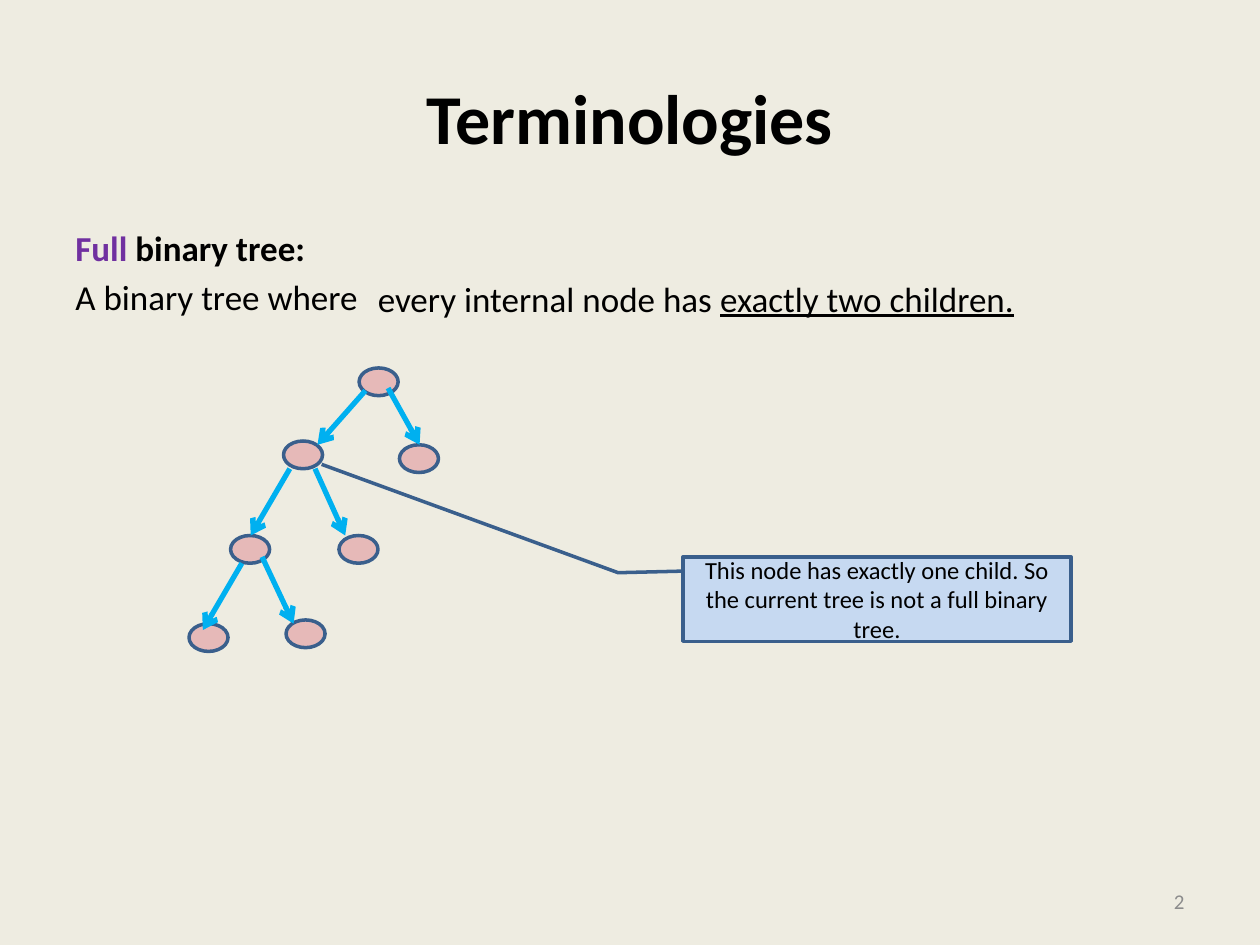
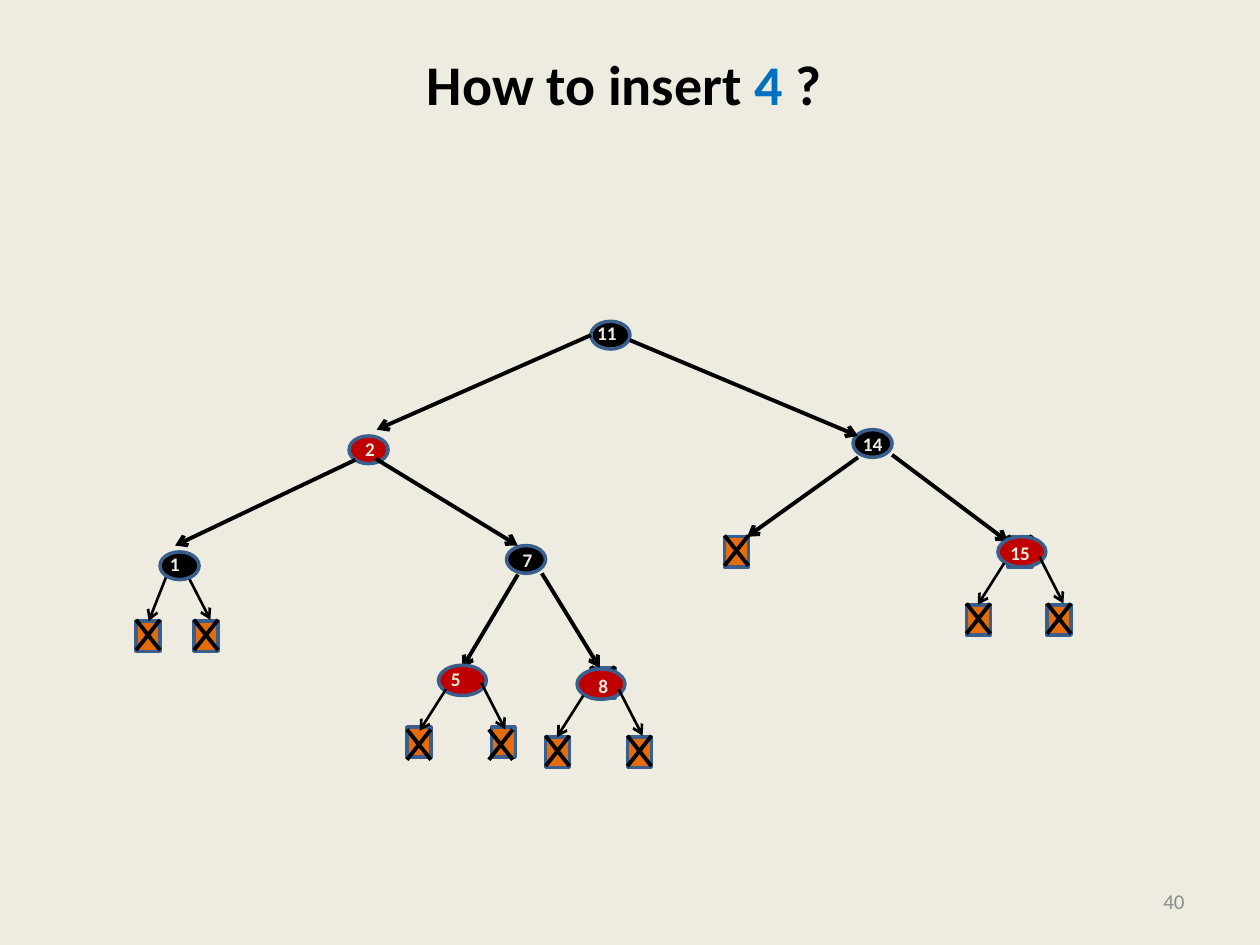
from dataclasses import dataclass

from lxml.etree import SubElement
from pptx import Presentation
from pptx.dml.color import RGBColor
from pptx.enum.shapes import MSO_CONNECTOR, MSO_SHAPE
from pptx.enum.text import MSO_ANCHOR, PP_ALIGN
from pptx.oxml.ns import qn
from pptx.util import Inches, Pt


@dataclass(frozen=True)
class Theme:
    font: str = "Calibri"
    background: str = "EEECE1"
    ink: str = "000000"
    outline: str = "3A5F8C"
    purple: str = "7030A0"
    blue: str = "0070C0"
    cyan: str = "00B0F0"
    pink: str = "E6B9B8"
    pale_blue: str = "C6D9F1"
    red: str = "C00000"
    orange: str = "E46C0A"
    grey: str = "8C8C8C"
    title: int = 40
    question: int = 32
    body: int = 20
    note: int = 14
    number: int = 12
    label: int = 11
    outline_width: float = 2
    branch_width: float = 2.25
    twig_width: float = 1.5
    link_width: float = 3


THEME = Theme()
NODE_SIZE = (0.31, 0.22)
RED_SIZE = (0.38, 0.24)
LEAF_SIZE = (0.19, 0.24)

# Each run is (text, colour, bold, underlined).
TERMS_TITLE = [[("Terminologies", THEME.ink, True, False)]]
DEFINITION = [
    [("Full ", THEME.purple, True, False), ("binary tree:", THEME.ink, True, False)],
    [("A binary tree where", THEME.ink, False, False)],
]
CONDITION = [[
    ("every internal node has ", THEME.ink, False, False),
    ("exactly two children.", THEME.ink, False, True),
]]
REMARK = [[(
    "This node has exactly one child. So the current tree is not a full binary tree.",
    THEME.ink, False, False,
)]]
CALLOUT_BENDS = (0.169, -0.001, 0.188, -0.167, -1.096, -0.931)
FULL_TREE_NODES = [
    (2.85, 2.92), (2.25, 3.5), (3.17, 3.53), (1.83, 4.25),
    (2.69, 4.25), (1.5, 4.95), (2.27, 4.92),
]
# Each arrow is (start x, start y, end x, end y).
FULL_TREE_LINKS = [
    (2.9, 3.1, 2.52, 3.53), (3.08, 3.08, 3.33, 3.53),
    (2.3, 3.72, 1.99, 4.25), (2.5, 3.72, 2.74, 4.25),
    (1.92, 4.47, 1.61, 5), (2.08, 4.42, 2.33, 4.95),
]

INSERT_TITLE = [[
    ("How to insert ", THEME.ink, True, False),
    ("4 ", THEME.blue, True, False),
    ("?", THEME.ink, True, False),
]]
# Key: node position, colour, label box.
UPPER_NODES = {
    "11": ((4.69, 2.55), THEME.ink, (4.64, 2.5, 0.36, 0.29)),
    "14": ((6.77, 3.41), THEME.ink, (6.75, 3.38, 0.36, 0.29)),
    "2": ((2.77, 3.46), THEME.red, (2.8, 3.42, 0.28, 0.29)),
    "1": ((1.27, 4.38), THEME.ink, (1.25, 4.33, 0.28, 0.29)),
    "7": ((4.02, 4.33), THEME.ink, (4.05, 4.3, 0.28, 0.29)),
}
BRANCHES = [
    (4.69, 2.66, 2.99, 3.41), (5, 2.7, 6.81, 3.46),
    (2.82, 3.65, 1.39, 4.33), (2.98, 3.64, 4.11, 4.33),
    (6.81, 3.63, 5.93, 4.26), (7.08, 3.61, 8, 4.3),
    (4.11, 4.56, 3.67, 5.3), (4.3, 4.55, 4.76, 5.3),
]
# Each leaf is (x, y) with an optional shift of its cross.
REPLACED_LEAVES = [(4.69, 5.3), (8, 4.26)]
UPPER_LEAVES = [(1.08, 4.93), (1.54, 4.93), (5.75, 4.26)]
UPPER_TWIGS = [(1.33, 4.55, 1.18, 4.93), (1.48, 4.55, 1.67, 4.92)]
# Key: node position, label box, twig origin, leaves.
RED_NODES = {
    "15": ((7.92, 4.26), (7.92, 4.25, 0.43, 0.29), (7.92, 4.26),
           [(7.67, 4.8), (8.31, 4.8)]),
    "8": ((4.58, 5.31), (4.65, 5.3, 0.43, 0.29), (4.58, 5.31),
          [(4.33, 5.85), (4.98, 5.85)]),
    "5": ((3.48, 5.28), (3.48, 5.25, 0.43, 0.29), (3.49, 5.26),
          [(3.23, 5.77, 0, 0.02), (3.9, 5.77, -0.02, 0.02)]),
}
RED_TWIGS = [(0.05, 0.21, -0.16, 0.54), (0.33, 0.16, 0.52, 0.53)]


def rgb(colour):
    return RGBColor.from_string(colour)


def write(frame, paragraphs, size, align=PP_ALIGN.LEFT, anchor=MSO_ANCHOR.TOP):
    frame.word_wrap = True
    frame.vertical_anchor = anchor
    for index, runs in enumerate(paragraphs):
        paragraph = frame.add_paragraph() if index else frame.paragraphs[0]
        paragraph.alignment = align
        if index:
            paragraph.space_before = Pt(0.2 * size)
        for text, colour, bold, underlined in runs:
            run = paragraph.add_run()
            run.text = text
            run.font.name = THEME.font
            run.font.size = Pt(size)
            run.font.bold = bold
            run.font.underline = underlined
            run.font.color.rgb = rgb(colour)


def add_text(slide, box, paragraphs, size, **layout):
    frame = slide.shapes.add_textbox(*map(Inches, box)).text_frame
    write(frame, paragraphs, size, **layout)
    return frame


def add_outlined(slide, preset, box, colour):
    shape = slide.shapes.add_shape(preset, *map(Inches, box))
    shape.shadow.inherit = False
    shape.fill.solid()
    shape.fill.fore_color.rgb = rgb(colour)
    shape.line.color.rgb = rgb(THEME.outline)
    shape.line.width = Pt(THEME.outline_width)
    return shape


def add_line(slide, ends, colour, width, arrow=True):
    line = slide.shapes.add_connector(MSO_CONNECTOR.STRAIGHT, *map(Inches, ends))
    line.line.color.rgb = rgb(colour)
    line.line.width = Pt(width)
    properties = line._element.spPr
    if arrow:
        SubElement(properties.find(qn("a:ln")), qn("a:tailEnd"), type="arrow")
    SubElement(properties, qn("a:effectLst"))


def add_leaf(slide, x, y, cross_dx=0, cross_dy=-0.01):
    """Draw an empty leaf: a box that is crossed out."""
    add_outlined(slide, MSO_SHAPE.RECTANGLE, (x, y, *LEAF_SIZE), THEME.orange)
    left, top = x + cross_dx, y + cross_dy
    right, bottom = left + LEAF_SIZE[0], top + LEAF_SIZE[1]
    for ends in ((right, top, left, bottom), (left, top, right, bottom)):
        add_line(slide, ends, THEME.ink, THEME.branch_width, arrow=False)


def add_key(slide, key, box):
    frame = add_text(slide, box, [[(key, THEME.background, True, False)]], THEME.label)
    frame.margin_right = 0


def start_slide(deck, title, title_box, title_size, number):
    slide = deck.slides.add_slide(deck.slide_layouts[6])
    slide.background.fill.solid()
    slide.background.fill.fore_color.rgb = rgb(THEME.background)
    heading = add_text(slide, title_box, title, title_size,
                       align=PP_ALIGN.CENTER, anchor=MSO_ANCHOR.MIDDLE)
    add_text(slide, (7.17, 6.95, 2.33, 0.4), [[(number, THEME.grey, False, False)]],
             THEME.number, align=PP_ALIGN.RIGHT, anchor=MSO_ANCHOR.MIDDLE)
    return slide, heading


def build_terms(deck):
    slide, _ = start_slide(deck, TERMS_TITLE, (0.5, 0.3, 9, 1.25), THEME.title, "2")
    add_text(slide, (0.5, 1.75, 9, 4.95), DEFINITION, THEME.body)
    for position in FULL_TREE_NODES:
        add_outlined(slide, MSO_SHAPE.OVAL, (*position, *NODE_SIZE), THEME.pink)
    for ends in FULL_TREE_LINKS:
        add_line(slide, ends, THEME.cyan, THEME.link_width)
    add_text(slide, (2.9, 2.15, 5.3, 0.44), CONDITION, THEME.body)
    callout = add_outlined(slide, MSO_SHAPE.LINE_CALLOUT_2, (5.42, 4.42, 3.08, 0.67),
                           THEME.pale_blue)
    for index, bend in enumerate(CALLOUT_BENDS):
        callout.adjustments[index] = bend
    write(callout.text_frame, REMARK, THEME.note,
          align=PP_ALIGN.CENTER, anchor=MSO_ANCHOR.MIDDLE)


def build_insertion(deck):
    slide, heading = start_slide(deck, INSERT_TITLE, (0.08, 0.3, 9.75, 1.25),
                                 THEME.question, "40")
    heading.margin_bottom = Inches(0.58)
    for leaf in UPPER_LEAVES + REPLACED_LEAVES:
        add_leaf(slide, *leaf)
    for ends in UPPER_TWIGS:
        add_line(slide, ends, THEME.ink, THEME.twig_width)
    for position, colour, _ in UPPER_NODES.values():
        add_outlined(slide, MSO_SHAPE.OVAL, (*position, *NODE_SIZE), colour)
    for ends in BRANCHES:
        add_line(slide, ends, THEME.ink, THEME.branch_width)
    for key, (_, _, label_box) in UPPER_NODES.items():
        add_key(slide, key, label_box)
    for key, (position, label_box, (x, y), leaves) in RED_NODES.items():
        for leaf in leaves:
            add_leaf(slide, *leaf)
        add_outlined(slide, MSO_SHAPE.OVAL, (*position, *RED_SIZE), THEME.red)
        for x1, y1, x2, y2 in RED_TWIGS:
            add_line(slide, (x + x1, y + y1, x + x2, y + y2), THEME.ink, THEME.twig_width)
        add_key(slide, key, label_box)


def main():
    deck = Presentation()
    deck.slide_width, deck.slide_height = Inches(10), Inches(7.5)
    build_terms(deck)
    build_insertion(deck)
    deck.save("out.pptx")


if __name__ == "__main__":
    main()
